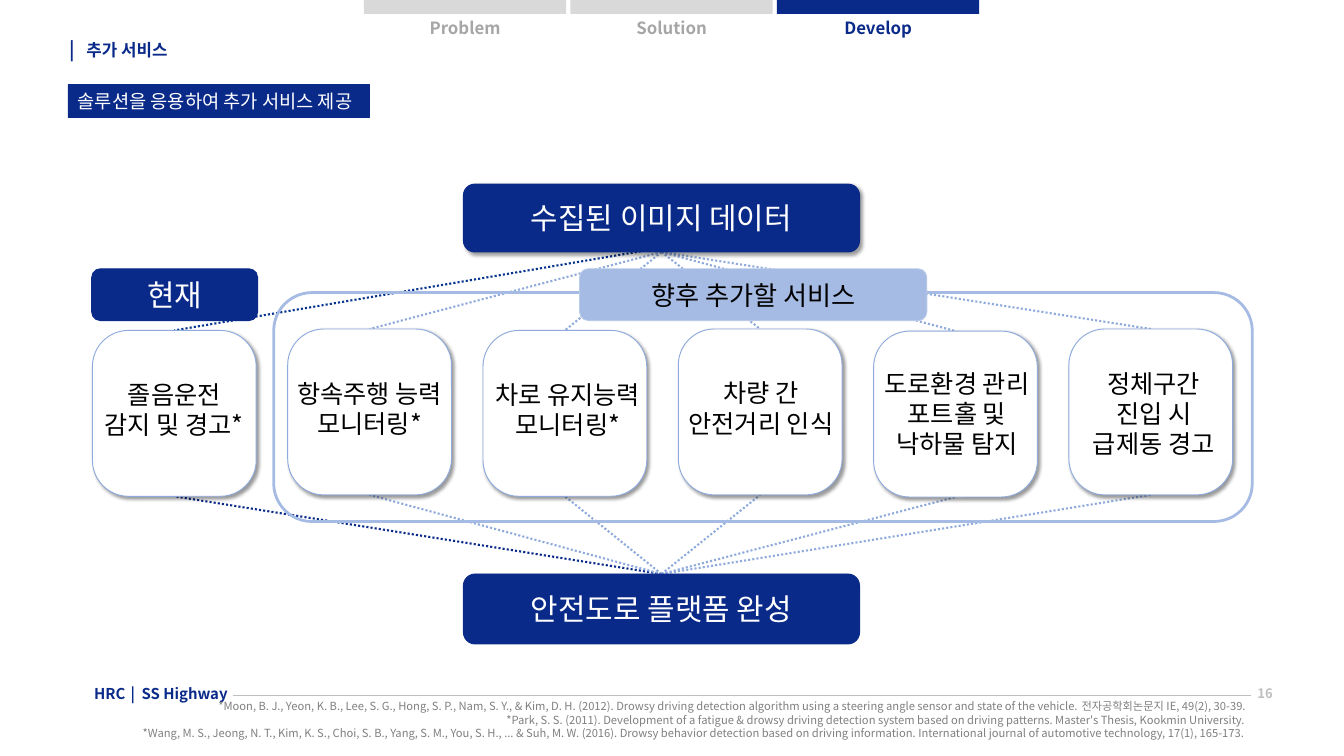
from lxml import etree
from pptx import Presentation
from pptx.dml.color import RGBColor
from pptx.enum.dml import MSO_LINE_DASH_STYLE as DASH
from pptx.enum.shapes import MSO_CONNECTOR, MSO_SHAPE as SHAPE
from pptx.enum.text import MSO_ANCHOR as ANCHOR, PP_ALIGN as ALIGN
from pptx.oxml.ns import qn
from pptx.util import Pt

# Content
FONT = "Noto Sans CJK KR"
NAVY, SKY, PALE, WHITE, BLACK = "0A2A89", "8FAADC", "A5BBE3", "FFFFFF", "000000"
SECTIONS = [("Problem", "D9D9D9", "A6A6A6"), ("Solution", "D9D9D9", "A6A6A6"),
            ("Develop", NAVY, NAVY)]
TITLE_BAR, TITLE = "|", "추가 서비스"
SUBTITLE = "솔루션을 응용하여 추가 서비스 제공"
SOURCE, RESULT = "수집된 이미지 데이터", "안전도로 플랫폼 완성"
NOW, LATER = "현재", "향후 추가할 서비스"
# lines, card top, text shift, text top, text width
SERVICES = [
    (["졸음운전", "감지 및 경고*"], 472, 0, 537, 291),
    (["항속주행 능력", "모니터링*"], 470, 0, 536, 263),
    (["차로 유지능력", "모니터링*"], 472, 4, 537, 263),
    (["차량 간 안전거리 인식"], 470, 1, 535, 263),
    (["도로환경 관리", "포트홀 및", "낙하물 탐지"], 473, 2, 521, 263),
    (["정체구간", "진입 시", "급제동 경고"], 470, 4, 521, 286),
]
FOOTER, PAGE = "HRC\t|\tSS Highway", "16"
REFERENCES = [
    "*Moon, B. J., Yeon, K. B., Lee, S. G., Hong, S. P., Nam, S. Y., & Kim, D. H. (2012). "
    "Drowsy driving detection algorithm using a steering angle sensor and state of the "
    "vehicle. 전자공학회논문지 IE, 49(2), 30-39.",
    "*Park, S. S. (2011). Development of a fatigue & drowsy driving detection system based "
    "on driving patterns. Master's Thesis, Kookmin University.",
    "*Wang, M. S., Jeong, N. T., Kim, K. S., Choi, S. B., Yang, S. M., You, S. H., ... & "
    "Suh, M. W. (2016). Drowsy behavior detection based on driving information. "
    "International journal of automotive technology, 17(1), 165-173.",
]

# Layout in px
SLIDE_W, SLIDE_H = 1920, 1080
TAB_X, TAB_STEP, TAB_W, TAB_H = 520, 295, 289, 20
CARD_X, CARD_STEP, CARD_W, CARD_H = 132, 279, 234, 237
HUB_X, HUB_W = 945, 566
SOURCE_Y, SOURCE_H, RESULT_Y, RESULT_H = 263, 97, 820, 100


def px(n):
    return round(n * 9525)


def rgb(value):
    return RGBColor.from_string(value)


def write(shape, lines, size, color, align=ALIGN.LEFT, bold=False,
          anchor=ANCHOR.TOP, tabs=()):
    frame = shape.text_frame
    frame.word_wrap = True
    frame.vertical_anchor = anchor
    for i, line in enumerate(lines):
        para = frame.add_paragraph() if i else frame.paragraphs[0]
        para.add_run().text = line
        para.alignment = align
        props = para._p.get_or_add_pPr()
        if tabs:
            stops = etree.SubElement(props, qn("a:tabLst"))
            for stop in tabs:
                etree.SubElement(stops, qn("a:tab"), pos=str(px(stop)), algn="l")
        font = para.font
        font.name, font.size, font.bold = FONT, Pt(size), bold
        font.color.rgb = rgb(color)
        etree.SubElement(props.find(qn("a:defRPr")), qn("a:ea"), typeface=FONT)
    return frame


def text(box, lines, size, color, **style):
    return write(slide.shapes.add_textbox(*map(px, box)), lines, size, color, **style)


def block(kind, box, fill=None, line=None, width=1.0):
    shape = slide.shapes.add_shape(kind, *map(px, box))
    shape.shadow.inherit = False
    if fill:
        shape.fill.solid()
        shape.fill.fore_color.rgb = rgb(fill)
    else:
        shape.fill.background()
    if line:
        shape.line.color.rgb = rgb(line)
        shape.line.width = Pt(width)
    else:
        shape.line.fill.background()
    return shape


def cast_shadow(shape):
    effects = shape._element.spPr.find(qn("a:effectLst"))
    outer = etree.SubElement(effects, qn("a:outerShdw"), blurRad=str(Pt(4)),
                             dist=str(Pt(3)), dir="2700000", algn="tl", rotWithShape="0")
    black = etree.SubElement(outer, qn("a:srgbClr"), val=BLACK)
    etree.SubElement(black, qn("a:alpha"), val="40000")


def link(start, end, color, width=2.25, dash=DASH.ROUND_DOT):
    line = slide.shapes.add_connector(MSO_CONNECTOR.STRAIGHT, *map(px, start + end))
    line.line.color.rgb = rgb(color)
    line.line.width = Pt(width)
    if dash:
        line.line.dash_style = dash
    etree.SubElement(line._element.spPr, qn("a:effectLst"))


def label(box, words, size, fill, line, color):
    shape = block(SHAPE.ROUNDED_RECTANGLE, box, fill, line)
    write(shape, [words], size, color, align=ALIGN.CENTER, anchor=ANCHOR.MIDDLE)
    return shape


prs = Presentation()
prs.slide_width, prs.slide_height = px(SLIDE_W), px(SLIDE_H)
slide = prs.slides.add_slide(prs.slide_layouts[6])

# Section tabs
for i, (name, fill, color) in enumerate(SECTIONS):
    left = TAB_X + i * TAB_STEP
    block(SHAPE.RECTANGLE, (left, 0, TAB_W, TAB_H), fill)
    text((left, TAB_H, TAB_W, 38), [name], 18, color, align=ALIGN.CENTER, bold=True)

# Title and subtitle
title = text((90, 49, 314, 42), [TITLE_BAR], 18, NAVY, bold=True, tabs=[24]).paragraphs[0]
title.runs[0].font.size = Pt(20)
title.add_run().text = "\t" + TITLE
subtitle = block(SHAPE.RECTANGLE, (97, 121, 431, 47), NAVY, NAVY, 0.75)
frame = write(subtitle, [SUBTITLE], 20, WHITE)
frame.margin_left = frame.margin_right = px(14)
frame.margin_top = frame.margin_bottom = px(7)

# Links from the data to each service and on to the platform
for i, (_, top, *_) in enumerate(SERVICES):
    center = CARD_X + i * CARD_STEP + CARD_W // 2
    color_in, color_out = (SKY, SKY) if i else ("05338D", NAVY)
    start_y = SOURCE_Y + SOURCE_H - (0 if i else 6)
    link((HUB_X, start_y), (center, top), color_in)
    link((HUB_X, RESULT_Y), (center, top + CARD_H), color_out)

# Service cards
for i, (lines, top, shift, text_top, text_w) in enumerate(SERVICES):
    left = CARD_X + i * CARD_STEP
    card = block(SHAPE.ROUNDED_RECTANGLE, (left, top, CARD_W, CARD_H), WHITE, SKY)
    card.adjustments[0] = 0.22
    cast_shadow(card)
    text_left = left + (CARD_W - text_w) / 2 + shift
    text_h = 140 if len(lines) == 3 else 97
    text((text_left, text_top, text_w, text_h), lines, 27, BLACK, align=ALIGN.CENTER)

# Hubs, frame of future services and group labels
hub_left = HUB_X - HUB_W / 2
cast_shadow(label((hub_left, SOURCE_Y, HUB_W, SOURCE_H), SOURCE, 32, NAVY, NAVY, WHITE))
label((hub_left, RESULT_Y, HUB_W, RESULT_H), RESULT, 32, NAVY, NAVY, WHITE)
block(SHAPE.ROUNDED_RECTANGLE, (391, 418, 1398, 327), line=PALE, width=3)
label((131, 384, 237, 74), NOW, 32, NAVY, NAVY, WHITE)
label((828, 384, 496, 74), LATER, 28, PALE, "B9CAE9", BLACK)

# Footer
link((333, 993), (1787, 993), "BFBFBF", 0.5, None)
text((125, 973, 237, 36), [FOOTER], 16, NAVY, bold=True, tabs=[52, 68])
text((1787, 974, 48, 33), [PAGE], 14, "BFBFBF", bold=True)
text((118, 995, 1671, 68), REFERENCES, 12, "808080", align=ALIGN.RIGHT)

prs.save("out.pptx")
